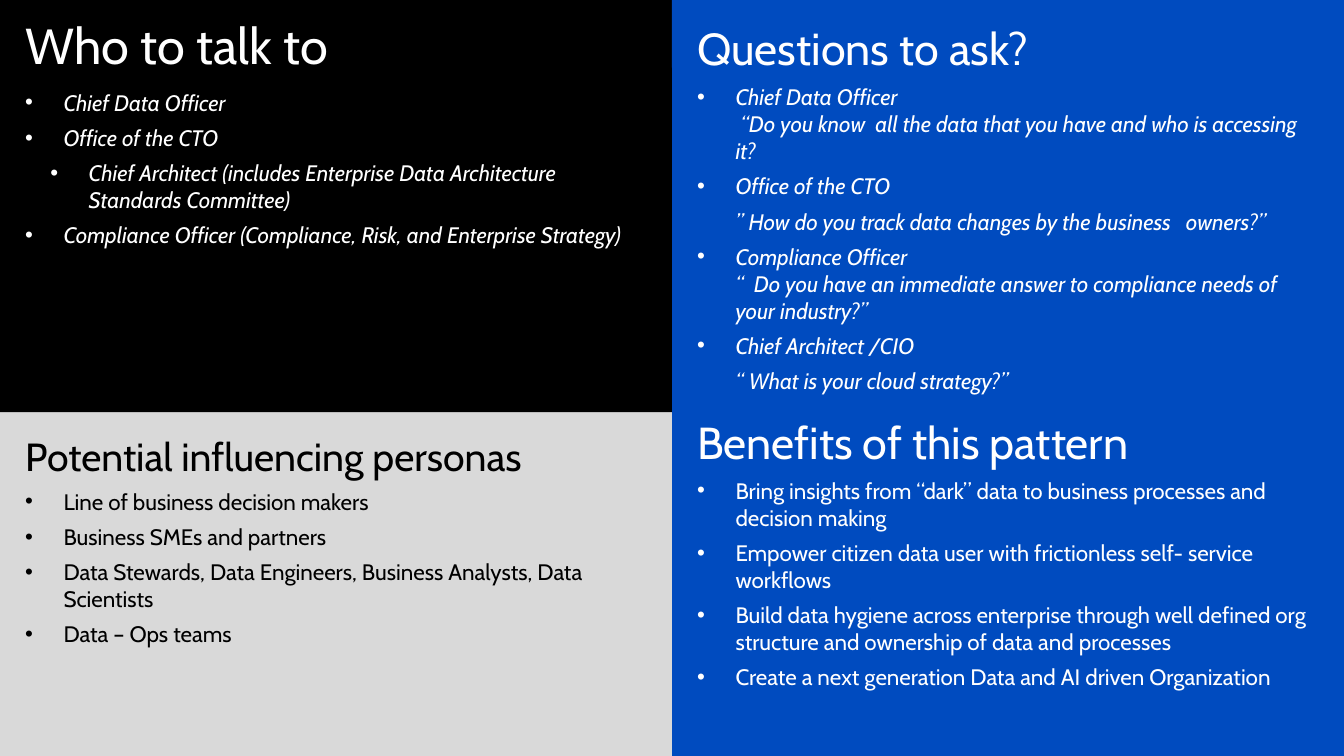
from copy import deepcopy
from dataclasses import dataclass

from lxml.etree import SubElement
from pptx import Presentation
from pptx.dml.color import RGBColor
from pptx.enum.text import MSO_ANCHOR, MSO_AUTO_SIZE, PP_ALIGN
from pptx.oxml.ns import qn
from pptx.util import Inches, Pt


# Content: each line is (kind, text)
TITLE = "Who to talk to"
CONTACTS = [
    ("bullet", "Chief Data Officer"),
    ("bullet", "Office of the CTO"),
    ("sub", "Chief Architect (includes Enterprise Data Architecture Standards Committee)"),
    ("bullet", "Compliance Officer (Compliance, Risk, and Enterprise Strategy)"),
]
QUESTIONS = [
    ("bullet", "Chief Data Officer\n “Do you know  all the data that you have and who is accessing it?"),
    ("bullet", "Office of the CTO"),
    ("quote", "” How do you track data changes by the business   owners?”"),
    ("bullet", "Compliance Officer\n“  Do you have an immediate answer to compliance needs of your industry?”"),
    ("bullet", "Chief Architect /CIO"),
    ("quote", "“ What is your cloud strategy?”"),
]
BENEFITS = [
    ("bullet", "Bring insights from “dark” data to business processes and decision making"),
    ("bullet", "Empower citizen data user with frictionless self- service workflows"),
    ("bullet", "Build data hygiene across enterprise through well defined org structure and ownership of data and processes"),
    ("bullet", "Create a next generation Data and AI driven Organization"),
]
PERSONAS = [
    ("bullet", "Line of business decision makers"),
    ("bullet", "Business SMEs and partners"),
    ("bullet", "Data Stewards, Data Engineers, Business Analysts, Data Scientists"),
    ("bullet", "Data – Ops teams"),
]


@dataclass(frozen=True)
class Theme:
    font: str = "Cabin"
    black: str = "000000"
    white: str = "FFFFFF"
    blue: str = "004BBF"
    grey: str = "D9D9D9"
    title: int = 36
    heading: int = 32
    small_heading: int = 28
    body: int = 16


THEME = Theme()
WIDTH, HEIGHT = 13.33, 7.5
HALF = WIDTH / 2
PANEL_HEIGHT = 3.42
MARGIN, TOP_MARGIN = 0.25, 0.21
HANGING = 0.38
# Kind: (level, left indent, first-line indent, has bullet)
KINDS = {
    "bullet": (0, HANGING, -HANGING, True),
    "sub": (1, 0.63, -HANGING, True),
    "quote": (0, HANGING, 0, False),
    "heading": (0, 0, 0, False),
}


def place_panel(box, left, top, width, height, fill):
    """Position a placeholder as a filled panel with top-aligned text."""
    box.left, box.top = Inches(left), Inches(top)
    box.width, box.height = Inches(width), Inches(height)
    box.fill.solid()
    box.fill.fore_color.rgb = RGBColor.from_string(fill)
    frame = box.text_frame
    frame.word_wrap = True
    frame.auto_size = MSO_AUTO_SIZE.NONE
    frame.vertical_anchor = MSO_ANCHOR.TOP
    frame.margin_left = frame.margin_right = frame.margin_bottom = Inches(MARGIN)
    frame.margin_top = Inches(TOP_MARGIN)
    return frame


def write(frame, text, kind="heading", size=THEME.body, color=THEME.white,
          italic=False, before=6, spacing=1.0):
    """Add one formatted paragraph, using the empty first one if possible."""
    para = frame.paragraphs[0]
    if para.runs:
        para = frame.add_paragraph()
    para.text = text
    level, left, first, bulleted = KINDS[kind]
    para.level = level
    para.alignment = PP_ALIGN.LEFT
    para.space_before, para.space_after = Pt(before), Pt(0)
    para.line_spacing = spacing

    # Indent and bullet
    properties = para._p.get_or_add_pPr()
    properties.set("marL", str(Inches(left)))
    properties.set("indent", str(Inches(first)))
    if bulleted:
        SubElement(properties, qn("a:buFont"), typeface="Arial")
        SubElement(properties, qn("a:buChar"), char="•")
    else:
        SubElement(properties, qn("a:buNone"))

    for span in para.runs:
        span.font.name = THEME.font
        span.font.size = Pt(size)
        span.font.bold = False
        span.font.italic = italic
        span.font.color.rgb = RGBColor.from_string(color)
    # Line breaks share the format of the text around them
    for line_break in para._p.findall(qn("a:br")):
        line_break.insert(0, deepcopy(para.runs[0].font._element))


def write_list(frame, lines, **style):
    for kind, text in lines:
        write(frame, text, kind=kind, **style)


def main():
    deck = Presentation()
    deck.slide_width, deck.slide_height = Inches(WIDTH), Inches(HEIGHT)
    page = deck.slides.add_slide(deck.slide_layouts.get_by_name("Comparison"))
    title, right, personas, unused, contacts = page.placeholders
    unused.element.getparent().remove(unused.element)

    # Top left: title and contacts
    frame = place_panel(title, 0, 0, HALF, 0.99, THEME.black)
    write(frame, TITLE, size=THEME.title, before=0, spacing=0.9)
    frame = place_panel(contacts, 0, 0.67, HALF, PANEL_HEIGHT, THEME.black)
    write_list(frame, CONTACTS, italic=True)

    # Right: questions and benefits
    frame = place_panel(right, HALF, 0, HALF, HEIGHT, THEME.blue)
    write(frame, "Questions to ask?", size=THEME.heading, before=14.7)
    write_list(frame, QUESTIONS, italic=True)
    write(frame, "Benefits of this pattern", size=THEME.heading, before=14.7)
    write_list(frame, BENEFITS)

    # Bottom left: personas
    frame = place_panel(personas, 0, HEIGHT - PANEL_HEIGHT, HALF, PANEL_HEIGHT, THEME.grey)
    write(frame, "Potential influencing personas", size=THEME.small_heading,
          color=THEME.black, before=8)
    write_list(frame, PERSONAS, color=THEME.black)

    deck.save("out.pptx")


if __name__ == "__main__":
    main()
